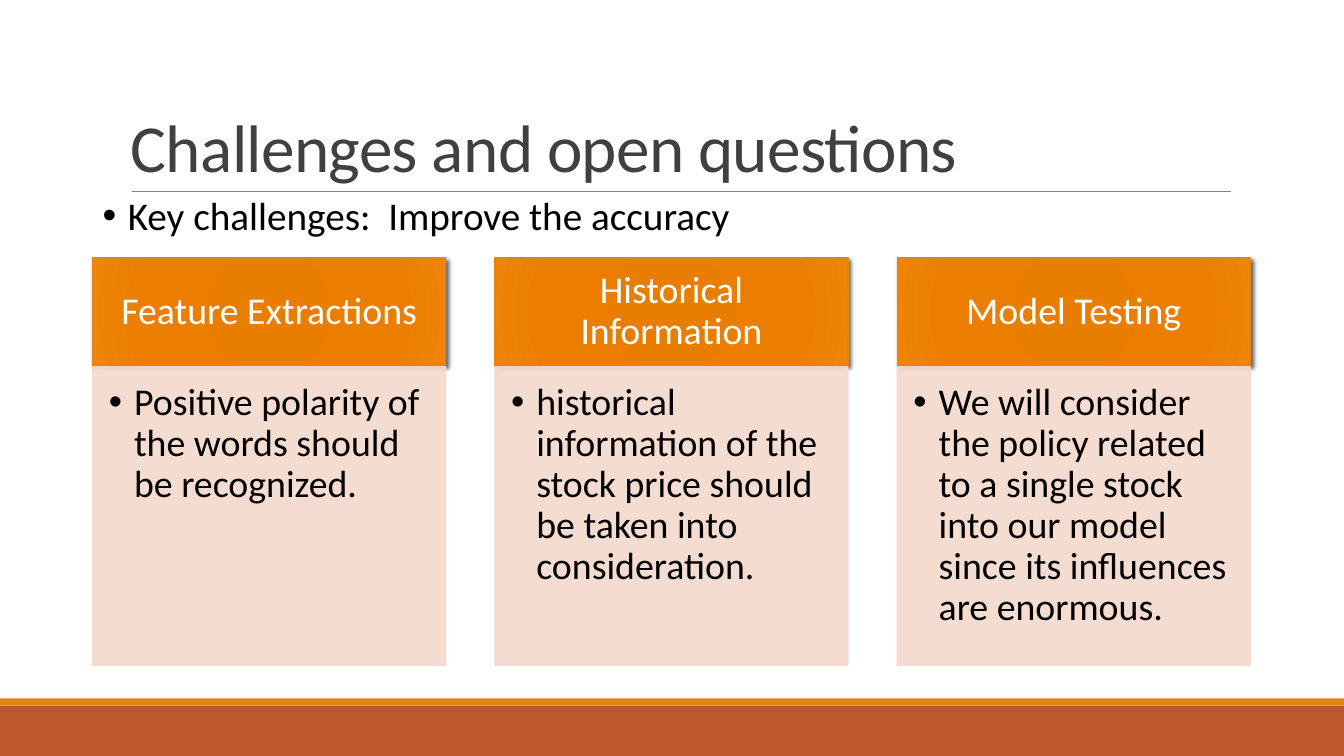
from dataclasses import dataclass

from lxml.etree import SubElement
from pptx import Presentation
from pptx.dml.color import RGBColor
from pptx.enum.shapes import MSO_CONNECTOR, MSO_SHAPE
from pptx.enum.text import MSO_ANCHOR, PP_ALIGN
from pptx.oxml import parse_xml
from pptx.oxml.ns import nsdecls, qn
from pptx.shapes.autoshape import Shape
from pptx.slide import Slide
from pptx.text.text import TextFrame, _Paragraph
from pptx.util import Inches, Pt

WHITE = RGBColor(0xFF, 0xFF, 0xFF)
BLACK = RGBColor(0x00, 0x00, 0x00)
TITLE_GREY = RGBColor(0x40, 0x40, 0x40)
RULE_GREY = RGBColor(0x80, 0x80, 0x80)
ORANGE = RGBColor(0xE4, 0x83, 0x12)
RUST = RGBColor(0xBD, 0x58, 0x2C)
PANEL = RGBColor(0xF5, 0xD9, 0xCC)
HEADER_STOPS = (
    (0, RGBColor(0xE5, 0x7B, 0x00)),
    (34, RGBColor(0xE8, 0x7D, 0x00)),
    (70, RGBColor(0xEB, 0x7E, 0x00)),
    (100, RGBColor(0xEF, 0x84, 0x07)),
)
FONT = "Calibri"

SLIDE_WIDTH, SLIDE_HEIGHT = 13.33, 7.5
GRID_LEFT, COLUMN_WIDTH, COLUMN_GAP = 0.92, 3.5, 0.49
HEADER_TOP, HEADER_HEIGHT = 2.56, 1.07
PANEL_TOP, PANEL_HEIGHT = 3.64, 2.96
FOOTER_TOP, STRIPE_HEIGHT = 7.0, 0.07
RULE_LEFT, RULE_RIGHT, RULE_TOP = 1.31, 12.21, 1.9


@dataclass(frozen=True)
class Box:
    left: float
    top: float
    width: float
    height: float

    def lengths(self) -> list[int]:
        return [Inches(n) for n in (self.left, self.top, self.width, self.height)]


@dataclass(frozen=True)
class Challenge:
    heading: str
    detail: str


CHALLENGES = (
    Challenge("Feature Extractions",
              "Positive polarity of the words should be recognized."),
    Challenge("Historical Information",
              "historical information of the stock price should be taken "
              "into consideration."),
    Challenge("Model Testing",
              "We will consider the policy related to a single stock into "
              "our model since its influences are enormous."),
)


def add_rectangle(page: Slide, box: Box, color: RGBColor) -> Shape:
    shape = page.shapes.add_shape(MSO_SHAPE.RECTANGLE, *box.lengths())
    shape.shadow.inherit = False
    shape.fill.solid()
    shape.fill.fore_color.rgb = color
    shape.line.fill.background()
    return shape


def set_outline(shape: Shape, color: RGBColor) -> None:
    shape.line.color.rgb = color
    shape.line.width = Pt(1)


def apply_header_gradient(shape: Shape) -> None:
    stops = "".join(
        f'<a:gs pos="{share * 1000}"><a:srgbClr val="{color}"/></a:gs>'
        for share, color in HEADER_STOPS
    )
    gradient = parse_xml(
        f'<a:gradFill {nsdecls("a")} rotWithShape="1"><a:gsLst>{stops}</a:gsLst>'
        '<a:path path="circle"><a:fillToRect l="100000" t="100000" '
        'r="100000" b="100000"/></a:path></a:gradFill>'
    )
    properties = shape._element.spPr
    properties.replace(properties.find(qn("a:solidFill")), gradient)


def apply_drop_shadow(shape: Shape) -> None:
    effects = shape._element.spPr.find(qn("a:effectLst"))
    effects.append(parse_xml(
        f'<a:outerShdw {nsdecls("a")} blurRad="{Pt(3)}" dist="{Pt(2)}" '
        'dir="2700000" algn="ctr" rotWithShape="0"><a:srgbClr val="000000">'
        '<a:alpha val="60000"/></a:srgbClr></a:outerShdw>'
    ))


def apply_opacity(shape: Shape, percent: int) -> None:
    """Set the opacity of both fill and outline."""
    for color in shape._element.spPr.iter(qn("a:srgbClr")):
        SubElement(color, qn("a:alpha"), val=str(percent * 1000))


def set_insets(frame: TextFrame, left: float, top: float,
               right: float, bottom: float) -> None:
    frame.margin_left, frame.margin_top = Inches(left), Inches(top)
    frame.margin_right, frame.margin_bottom = Inches(right), Inches(bottom)


def write(frame: TextFrame, text: str, size: float, color: RGBColor,
          spacing: float = 0.9, align: PP_ALIGN = PP_ALIGN.LEFT,
          anchor: MSO_ANCHOR = MSO_ANCHOR.TOP, bullet: bool = False) -> _Paragraph:
    frame.word_wrap = True
    frame.vertical_anchor = anchor
    para = frame.paragraphs[0]
    para.add_run().text = text
    para.alignment = align
    para.line_spacing = spacing
    if bullet:
        add_bullet(para)
    para.font.name = FONT
    para.font.size = Pt(size)
    para.font.color.rgb = color
    return para


def add_bullet(para: _Paragraph) -> None:
    properties = para._p.get_or_add_pPr()
    properties.set("marL", str(Inches(0.25)))
    properties.set("indent", str(Inches(-0.25)))
    SubElement(properties, qn("a:buFont"), typeface="Arial")
    SubElement(properties, qn("a:buChar"), char="•")


def add_footer(page: Slide) -> None:
    add_rectangle(page, Box(0, FOOTER_TOP, SLIDE_WIDTH,
                            SLIDE_HEIGHT - FOOTER_TOP), RUST)
    add_rectangle(page, Box(0, FOOTER_TOP - STRIPE_HEIGHT, SLIDE_WIDTH,
                            STRIPE_HEIGHT), ORANGE)


def add_title(page: Slide) -> None:
    rule = page.shapes.add_connector(
        MSO_CONNECTOR.STRAIGHT, Inches(RULE_LEFT), Inches(RULE_TOP),
        Inches(RULE_RIGHT), Inches(RULE_TOP))
    rule.line.color.rgb = RULE_GREY
    rule.line.width = Pt(0.5)
    SubElement(rule._element.spPr, qn("a:effectLst"))

    title = page.shapes.add_textbox(*Box(1.2, 0.31, 11, 1.59).lengths())
    para = write(title.text_frame, "Challenges and open questions", 48,
                 TITLE_GREY, spacing=0.85, anchor=MSO_ANCHOR.BOTTOM)
    para.runs[0]._r.get_or_add_rPr().set("spc", "-50")


def add_challenge(page: Slide, column: int, challenge: Challenge) -> None:
    left = GRID_LEFT + column * (COLUMN_WIDTH + COLUMN_GAP)
    header = add_rectangle(
        page, Box(left, HEADER_TOP, COLUMN_WIDTH, HEADER_HEIGHT), ORANGE)
    apply_header_gradient(header)
    set_outline(header, ORANGE)
    apply_drop_shadow(header)
    set_insets(header.text_frame, 0.21, 0.12, 0.21, 0.12)
    write(header.text_frame, challenge.heading, 27, WHITE,
          align=PP_ALIGN.CENTER, anchor=MSO_ANCHOR.MIDDLE)

    panel = add_rectangle(
        page, Box(left, PANEL_TOP, COLUMN_WIDTH, PANEL_HEIGHT), PANEL)
    set_outline(panel, PANEL)
    apply_opacity(panel, 90)
    set_insets(panel.text_frame, 0.16, 0.16, 0.21, 0.24)
    write(panel.text_frame, challenge.detail, 27, BLACK, bullet=True)


def main() -> None:
    deck = Presentation()
    deck.slide_width, deck.slide_height = Inches(SLIDE_WIDTH), Inches(SLIDE_HEIGHT)
    page = deck.slides.add_slide(deck.slide_layouts[6])
    add_footer(page)
    add_title(page)
    for column, challenge in enumerate(CHALLENGES):
        add_challenge(page, column, challenge)
    summary = page.shapes.add_textbox(*Box(GRID_LEFT, RULE_TOP, 11.5, 0.6).lengths())
    write(summary.text_frame, "Key challenges:  Improve the accuracy", 28, BLACK,
          bullet=True)
    deck.save("out.pptx")


if __name__ == "__main__":
    main()
